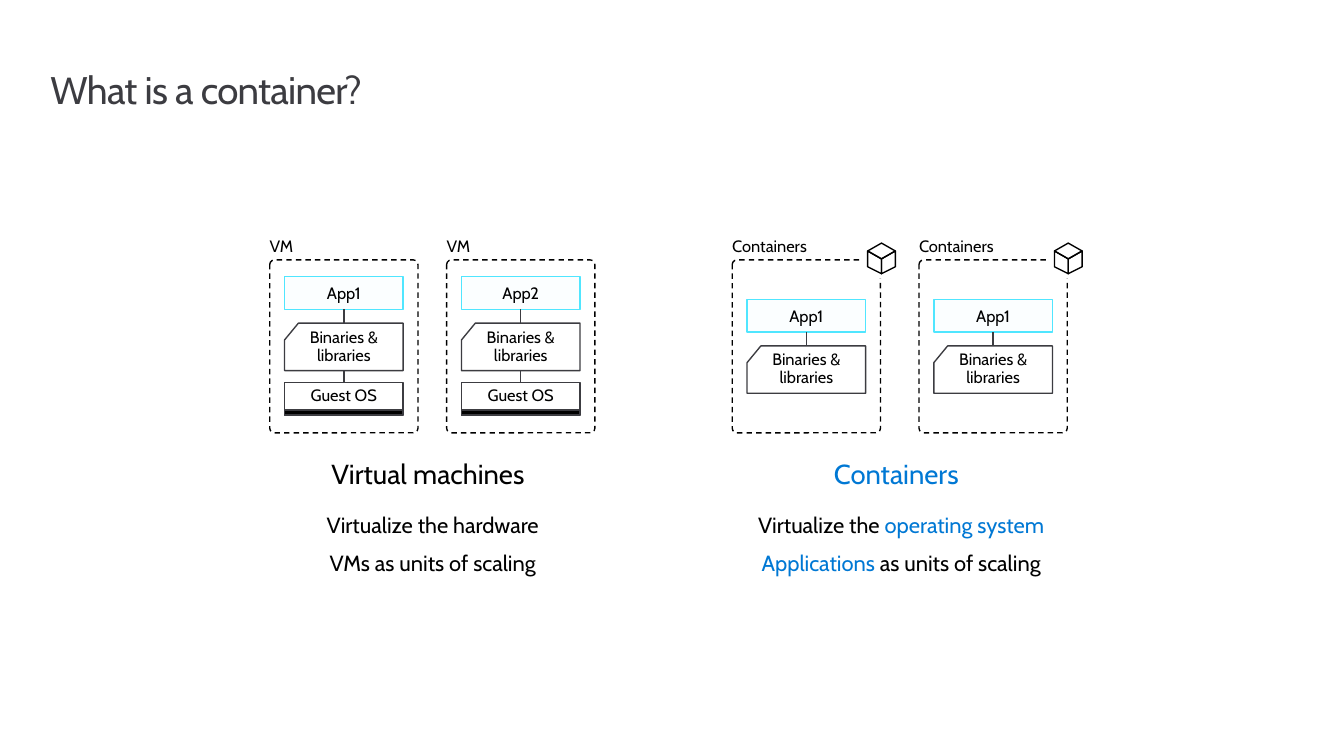
from lxml import etree
from pptx import Presentation
from pptx.dml.color import RGBColor
from pptx.enum.dml import MSO_LINE
from pptx.enum.shapes import MSO_CONNECTOR, MSO_SHAPE
from pptx.enum.text import MSO_ANCHOR, PP_ALIGN
from pptx.oxml.ns import qn
from pptx.util import Inches, Pt

RECTANGLE, ROUNDED, OVAL = MSO_SHAPE.RECTANGLE, MSO_SHAPE.ROUNDED_RECTANGLE, MSO_SHAPE.OVAL
STRAIGHT, DASH = MSO_CONNECTOR.STRAIGHT, MSO_LINE.DASH
LEFT, CENTER = PP_ALIGN.LEFT, PP_ALIGN.CENTER
TOP, MIDDLE, BOTTOM = MSO_ANCHOR.TOP, MSO_ANCHOR.MIDDLE, MSO_ANCHOR.BOTTOM


class Theme:
    font = "Cabin"
    black = RGBColor.from_string("000000")
    white = RGBColor.from_string("FFFFFF")
    gray = RGBColor.from_string("3C3C41")
    cyan = RGBColor.from_string("50E6FF")
    blue = RGBColor.from_string("0078D4")
    title, heading, body, label = Pt(28), Pt(20), Pt(16), Pt(12)


def write(box, *spans, size=Theme.label, align=CENTER, anchor=TOP, spacing=None, inset=0):
    """Write one paragraph of (text, colour) spans into a shape."""
    frame = box.text_frame
    frame.word_wrap = True
    frame.vertical_anchor = anchor
    frame.margin_left = frame.margin_top = 0
    frame.margin_right = frame.margin_bottom = Inches(inset)
    para = frame.paragraphs[0]
    para.alignment = align
    para.line_spacing = spacing
    for text, color in spans:
        span = para.add_run()
        span.text = text
        span.font.name, span.font.size = Theme.font, size
        span.font.color.rgb = color
    return para


def paint(shape, fill=None, line=None, dash=None):
    """Set fill and outline; None leaves either one out."""
    shape.shadow.inherit = False
    if fill is None:
        shape.fill.background()
    else:
        shape.fill.solid()
        shape.fill.fore_color.rgb = fill
    if line is None:
        shape.line.fill.background()
    else:
        shape.line.color.rgb = line
        shape.line.width = Pt(1)
        if dash is not None:
            shape.line.dash_style = dash
    return shape


deck = Presentation()
deck.slide_width, deck.slide_height = Inches(13.6), Inches(7.65)
page = deck.slides.add_slide(deck.slide_layouts[5])
shapes = page.shapes

# Title
title = shapes.title
title.left, title.top = Inches(0.51), Inches(0.69)
title.width, title.height = Inches(10.93), Inches(0.45)
title_para = write(title, ("What is a container?", Theme.gray),
                   size=Theme.title, align=LEFT, spacing=Pt(32))
title_para.runs[0].font._element.set("spc", "-50")

# Heading and two statements under each pair of units
columns = [
    (2.63, [("Virtual machines", Theme.black)],
     [[("Virtualize the hardware", Theme.black)],
      [("VMs as units of scaling", Theme.black)]]),
    (7.37, [("Containers", Theme.blue)],
     [[("Virtualize the ", Theme.black), ("operating system", Theme.blue)],
      [("Applications", Theme.blue), (" as units of scaling", Theme.black)]]),
]
for left, heading, statements in columns:
    box = shapes.add_textbox(Inches(left), Inches(4.56), Inches(3.5), Inches(0.5))
    write(box, *heading, size=Theme.heading, spacing=0.9, inset=0.1).space_after = Pt(6)
    box.text_frame.margin_top = Inches(0.1)
    for row, statement in enumerate(statements):
        box = shapes.add_textbox(Inches(left), Inches(5.18 + 0.38 * row),
                                 Inches(3.5), Inches(0.27))
        write(box, *statement, size=Theme.body).space_after = Pt(6)

# Units: left edge, label, app name, top of the app, has a guest OS
units = [
    (2.73, "VM", "App1", 2.8, True),
    (4.52, "VM", "App2", 2.8, True),
    (7.41, "Containers", "App1", 3.03, False),
    (9.3, "Containers", "App1", 3.03, False),
]
cube_faces = [  # offsets from the top centre of the cube
    [(0.14, 0.08), (0.14, 0.24), (0, 0.31), (0, 0.16)],
    [(-0.14, 0.08), (0, 0.16), (0, 0.31), (-0.14, 0.24)],
    [(0, 0), (0.14, 0.08), (0, 0.16), (-0.14, 0.08)],
]
for left, label, app_name, app_top, has_guest in units:
    inner = left + 0.15
    center = inner + 0.6

    # App
    app = shapes.add_shape(RECTANGLE, Inches(inner), Inches(app_top), Inches(1.2), Inches(0.33))
    paint(app, Theme.cyan, Theme.cyan)
    tint = app.fill._xPr.find(qn("a:solidFill"))[0]
    etree.SubElement(tint, qn("a:alpha")).set("val", "2000")
    write(app, (app_name, Theme.black), anchor=MIDDLE)

    # Link running down behind the libraries
    link = shapes.add_connector(STRAIGHT, Inches(center), Inches(app_top + 0.33),
                                Inches(center), Inches(3.87))
    link.line.color.rgb, link.line.width = Theme.gray, Pt(1)
    etree.SubElement(link._element.spPr, qn("a:effectLst"))
    link.begin_connect(app, 2)

    # Guest OS
    if has_guest:
        guest = shapes.add_shape(RECTANGLE, Inches(inner), Inches(3.87), Inches(1.2), Inches(0.33))
        paint(guest, line=Theme.gray)
        link.end_connect(guest, 0)
        base = shapes.add_shape(RECTANGLE, Inches(inner), Inches(4.15), Inches(1.2), Inches(0.05))
        paint(base, Theme.black, Theme.gray)
        box = shapes.add_textbox(Inches(inner + 0.07), Inches(3.92), Inches(1.06), Inches(0.18))
        write(box, ("Guest OS", Theme.black), spacing=0.9).space_after = Pt(6)

    # Binaries and libraries, with a cut corner
    top = app_top + 0.47
    right, bottom = inner + 1.2, top + 0.48
    outline = shapes.build_freeform(Inches(inner), Inches(top + 0.17))
    outline.add_line_segments([(Inches(x), Inches(y)) for x, y in [
        (inner + 0.14, top), (right, top), (right, bottom), (inner, bottom)]])
    paint(outline.convert_to_shape(), Theme.white, Theme.gray)
    box = shapes.add_textbox(Inches(inner + 0.07), Inches(top + 0.06), Inches(1.06), Inches(0.36))
    write(box, ("Binaries & libraries", Theme.black), spacing=0.9).space_after = Pt(6)

    # Dashed frame and its label
    frame = shapes.add_shape(ROUNDED, Inches(left), Inches(2.63), Inches(1.5), Inches(1.75))
    frame.adjustments[0] = 0.031
    paint(frame, line=Theme.black, dash=DASH)
    box = shapes.add_textbox(Inches(left), Inches(2.19), Inches(1), Inches(0.4))
    write(box, (label, Theme.black), align=LEFT, anchor=BOTTOM)

    # Cube on the corner of a container
    if not has_guest:
        disc = shapes.add_shape(OVAL, Inches(left + 1.3), Inches(2.41), Inches(0.41), Inches(0.41))
        paint(disc, Theme.white)
        faces = [[(Inches(left + 1.51 + x), Inches(2.46 + y)) for x, y in face]
                 for face in cube_faces]
        cube = shapes.build_freeform(*faces[0][0])
        for face in faces:
            cube.move_to(*face[0])
            cube.add_line_segments(face[1:])
        paint(cube.convert_to_shape(), line=Theme.black)

deck.save("out.pptx")
